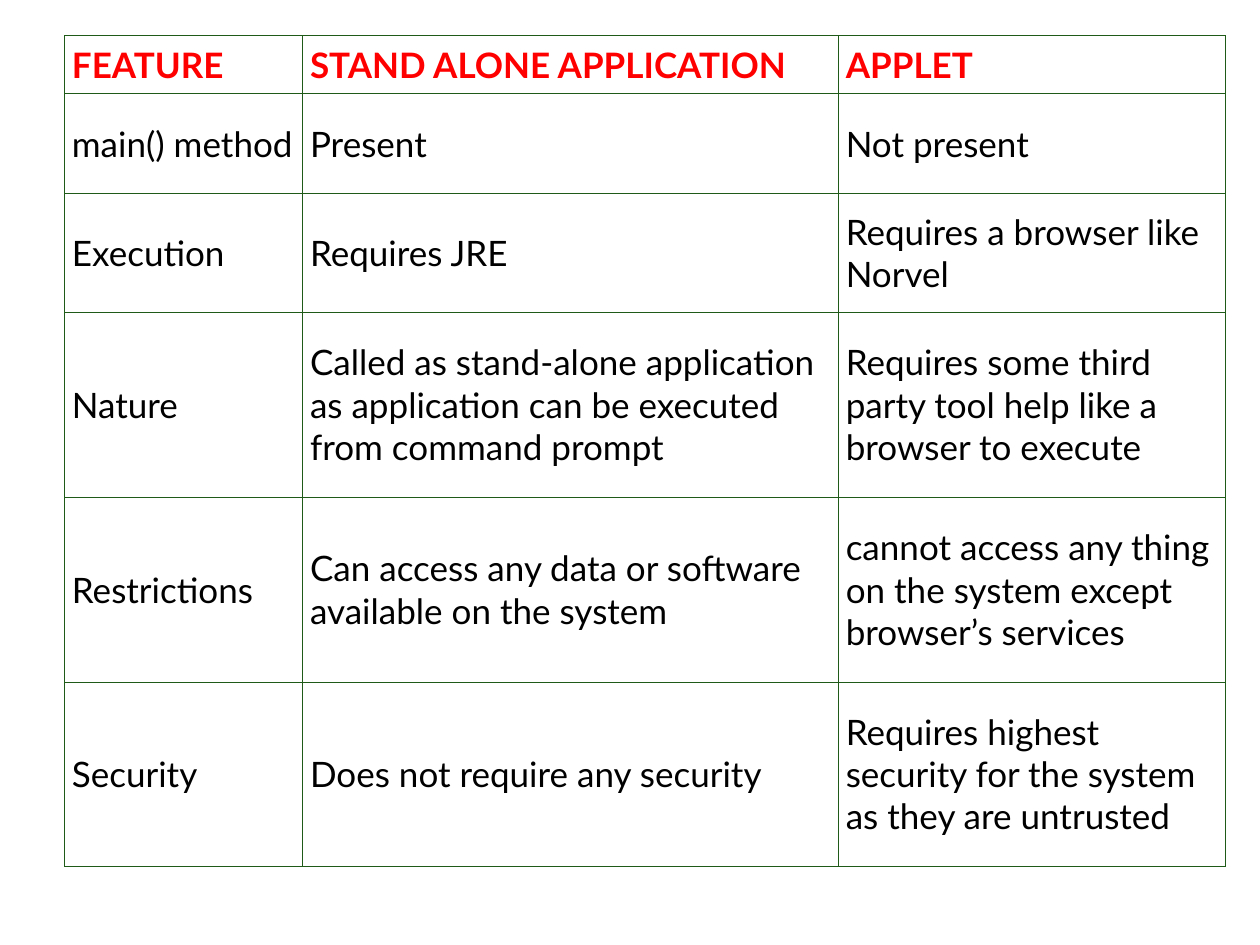
import pptx
import pptx.dml.color
import pptx.enum.text
import pptx.oxml.ns
import pptx.util
from dataclasses import dataclass
from lxml import etree
from pptx.util import Cm


@dataclass(frozen=True)
class Theme:
    font: str = "Lato"
    size: float = 20
    heading: str = "FF0000"
    body: str = "000000"
    cell: str = "FFFFFF"
    border: str = "205A19"
    inner_line: float = 0.45
    outer_line: float = 0.34


THEME = Theme()

COLUMN_WIDTHS = [4.8, 10.8, 7.8]
ROW_HEIGHTS = [1.17, 2.01, 2.39, 3.73, 3.73, 3.71]
COMPARISON = [
    ("FEATURE", "STAND ALONE APPLICATION", "APPLET"),
    ("main() method", "Present", "Not present"),
    ("Execution", "Requires JRE", "Requires a browser like Norvel"),
    ("Nature",
     "Called as stand-alone application as application can be executed from command prompt",
     "Requires some third party tool help like a browser to execute"),
    ("Restrictions",
     "Can access any data or software available on the system",
     "cannot access any thing on the system except browser’s services"),
    ("Security",
     "Does not require any security",
     "Requires highest security for the system as they are untrusted"),
]


def rgb(value):
    return pptx.dml.color.RGBColor.from_string(value)


def add_border(cell, side, points):
    """Draw one side of a cell; side is L, R, T or B."""
    qn = pptx.oxml.ns.qn
    properties = cell._tc.get_or_add_tcPr()
    line = etree.SubElement(properties, qn(f"a:ln{side}"), w=str(pptx.util.Pt(points)))
    fill = etree.SubElement(line, qn("a:solidFill"))
    etree.SubElement(fill, qn("a:srgbClr"), val=THEME.border)


def format_cell(cell, is_heading, is_last_column, is_last_row):
    # Borders come before the fill in the cell properties
    outer_sides = {"R": is_last_column, "B": is_last_row}
    for side in "LRTB":
        is_outer = outer_sides.get(side, False)
        add_border(cell, side, THEME.outer_line if is_outer else THEME.inner_line)
    cell.fill.solid()
    cell.fill.fore_color.rgb = rgb(THEME.cell)

    cell.vertical_anchor = pptx.enum.text.MSO_ANCHOR.MIDDLE
    cell.margin_left = cell.margin_right = Cm(0.15)
    cell.margin_top = cell.margin_bottom = Cm(0.13)

    font = cell.text_frame.paragraphs[0].runs[0].font
    font.name = THEME.font
    font.size = pptx.util.Pt(THEME.size)
    font.bold = is_heading
    font.color.rgb = rgb(THEME.heading if is_heading else THEME.body)


def add_comparison_table(slide, left, top):
    last_row, last_column = len(ROW_HEIGHTS) - 1, len(COLUMN_WIDTHS) - 1
    comparison = slide.shapes.add_table(
        len(ROW_HEIGHTS), len(COLUMN_WIDTHS), left, top,
        Cm(sum(COLUMN_WIDTHS)), Cm(sum(ROW_HEIGHTS))).table
    comparison.horz_banding = False

    for column, width in zip(comparison.columns, COLUMN_WIDTHS):
        column.width = Cm(width)
    for row, height in zip(comparison.rows, ROW_HEIGHTS):
        row.height = Cm(height)

    for r, feature in enumerate(COMPARISON):
        for c, wording in enumerate(feature):
            cell = comparison.cell(r, c)
            cell.text_frame.text = wording
            format_cell(cell, r == 0, c == last_column, r == last_row)


def main():
    # Slide of 10 by 7.5 inches on the blank layout
    deck = pptx.Presentation()
    deck.slide_width, deck.slide_height = Cm(25.4), Cm(19.05)
    slide = deck.slides.add_slide(deck.slide_layouts[6])

    # Stand-alone application against applet
    add_comparison_table(slide, Cm(1.3), Cm(0.72))
    deck.save("out.pptx")


if __name__ == "__main__":
    main()
